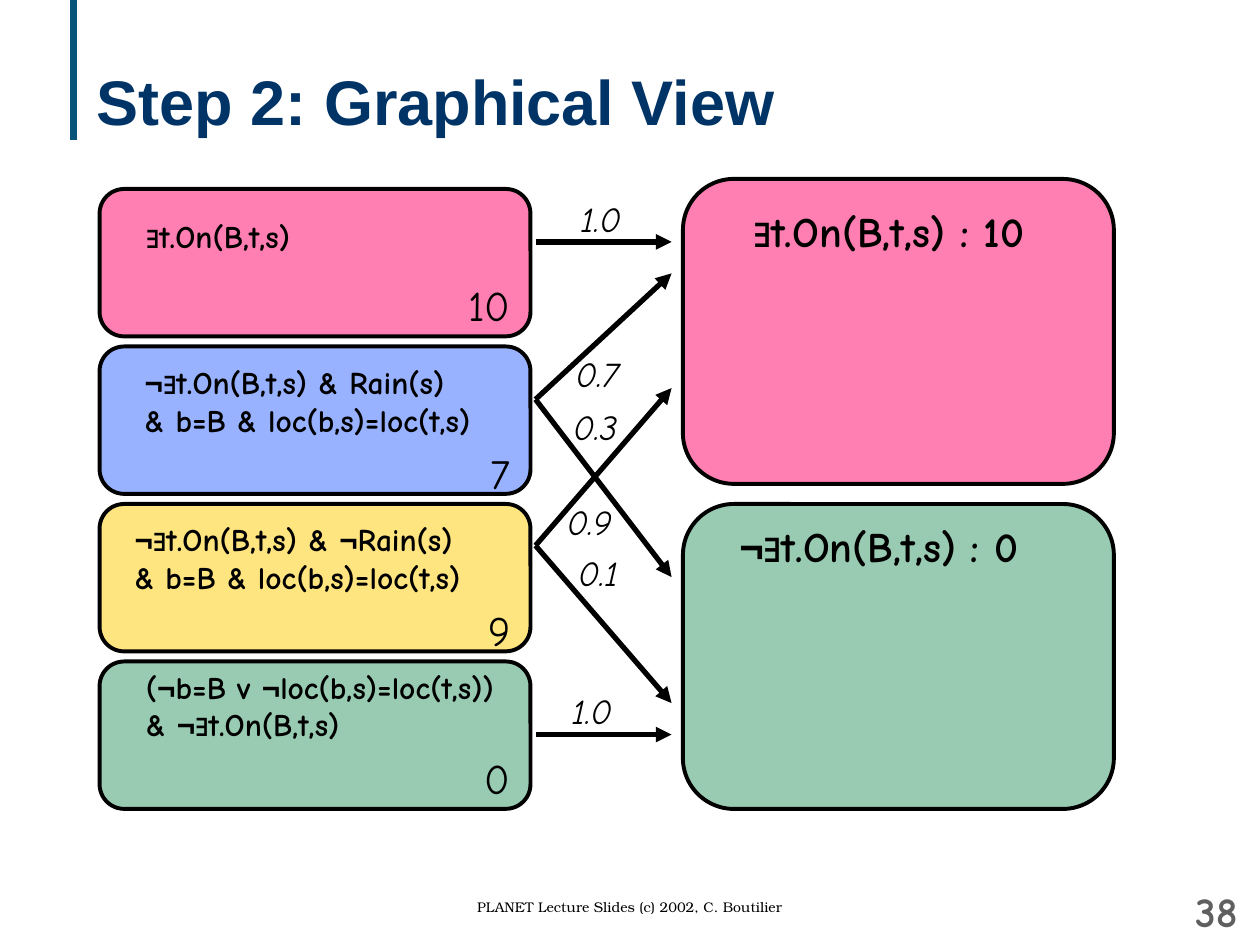
import itertools

import pptx
import pptx.dml.color
import pptx.enum.shapes
import pptx.enum.text
import pptx.oxml
import pptx.oxml.ns
import pptx.util
from pptx.util import Inches

COLORS = {
    "pink": "FF0066", "blue": "3366FF", "yellow": "FFCC00", "green": "339966",
    "black": "000000", "title": "003366", "rule": "07547A", "number": "5F5F5F",
}
NS = pptx.oxml.ns.nsdecls("a")
ALIGN = pptx.enum.text.PP_ALIGN
ANCHOR = pptx.enum.text.MSO_ANCHOR
LEFT_X, RIGHT_X, BOX_W = 0.79, 5.42, 3.42
ARROW_X1, ARROW_X2 = 4.25, 5.33


def add_text(x, y, w, h, text, size, font="Comic Neue", color="black", bold=False,
             italic=False, align=ALIGN.LEFT, anchor=ANCHOR.TOP, wrap=False):
    """Add a text box, setting the logic signs ¬ and ∃ in Arial."""
    tf = slide.shapes.add_textbox(Inches(x), Inches(y), Inches(w), Inches(h)).text_frame
    tf.word_wrap = wrap
    tf.vertical_anchor = anchor
    if not wrap:
        tf.auto_size = pptx.enum.text.MSO_AUTO_SIZE.SHAPE_TO_FIT_TEXT
    for i, line in enumerate(text.split("\n")):
        p = tf.paragraphs[0] if i == 0 else tf.add_paragraph()
        p.alignment = align
        for is_sign, chars in itertools.groupby(line, lambda c: c in "¬∃"):
            r = p.add_run()
            r.text = "".join(chars)
            r.font.name = "Arial" if is_sign else font
            r.font.size = pptx.util.Pt(size)
            r.font.bold = bold
            r.font.italic = italic
            r.font.color.rgb = pptx.dml.color.RGBColor.from_string(COLORS[color])


def add_line(x1, y1, x2, y2, color, width, arrow=False):
    line = slide.shapes.add_connector(
        pptx.enum.shapes.MSO_CONNECTOR.STRAIGHT,
        Inches(x1), Inches(y1), Inches(x2), Inches(y2))
    line.line.color.rgb = pptx.dml.color.RGBColor.from_string(COLORS[color])
    line.line.width = pptx.util.Pt(width)
    if arrow:
        line.line._get_or_add_ln().append(
            pptx.oxml.parse_xml(f'<a:tailEnd {NS} type="triangle"/>'))
    line._element.spPr.append(pptx.oxml.parse_xml(f"<a:effectLst {NS}/>"))


prs = pptx.Presentation()
prs.slide_width, prs.slide_height = Inches(10), Inches(7.5)
slide = prs.slides.add_slide(prs.slide_layouts[6])

add_line(0.58, 0, 0.58, 1.11, "rule", 4)
add_text(0.67, 0.17, 8.92, 1.25, "Step 2: Graphical View", 36, "Arial", "title",
         bold=True, anchor=ANCHOR.MIDDLE, wrap=True)

# State regions: four before the action on the left, two after it on the right
regions = [(LEFT_X, 1.5 + 1.25 * i, 1.17, color)
           for i, color in enumerate(["pink", "blue", "yellow", "green"])]
regions += [(RIGHT_X, 1.42, 2.42, "pink"), (RIGHT_X, 4, 2.42, "green")]
for x, y, h, color in regions:
    sp = slide.shapes.add_shape(
        pptx.enum.shapes.MSO_SHAPE.ROUNDED_RECTANGLE,
        Inches(x), Inches(y), Inches(BOX_W), Inches(h))
    sp.adjustments[0] = 0.167
    sp.shadow.inherit = False
    sp.fill.solid()
    sp.fill.fore_color.rgb = pptx.dml.color.RGBColor.from_string(COLORS[color])
    sp.fill._xPr.find(".//" + pptx.oxml.ns.qn("a:srgbClr")).append(
        pptx.oxml.parse_xml(f'<a:alpha {NS} val="50000"/>'))
    sp.line.color.rgb = pptx.dml.color.RGBColor.from_string(COLORS["black"])
    sp.line.width = pptx.util.Pt(2.25)

formulas = [
    (1.06, 1.67, 1.4, 0.4, "∃t.On(B,t,s)", 18),
    (1.05, 2.83, 2.84, 0.7, "¬∃t.On(B,t,s) & Rain(s)\n& b=B & loc(b,s)=loc(t,s)", 18),
    (0.97, 4.08, 2.9, 0.7, "¬∃t.On(B,t,s) & ¬Rain(s)\n& b=B & loc(b,s)=loc(t,s)", 18),
    (1.06, 5.25, 2.99, 0.7, "(¬b=B v ¬loc(b,s)=loc(t,s))\n& ¬∃t.On(B,t,s)", 18),
    (5.88, 1.58, 2.43, 0.5, "∃t.On(B,t,s) : 10", 24),
    (5.77, 4.08, 2.51, 0.5, "¬∃t.On(B,t,s) : 0", 24),
]
for x, y, w, h, text, size in formulas:
    add_text(x, y, w, h, text, size, bold=True)

# Values share a right edge
for y, value in [(2.17, "10"), (3.5, "7"), (4.75, "9"), (5.92, "0")]:
    add_text(3.55, y, 0.6, 0.5, value, 24, align=ALIGN.RIGHT, wrap=True)

# Transitions: arrow start and end heights, then the probability label
transitions = [
    (1.92, 1.92, 4.51, 1.52, 0.52, "1.0"),
    (3.17, 2.17, 4.47, 2.75, 0.54, "0.7"),
    (3.17, 4.58, 4.45, 3.17, 0.55, "0.3"),
    (4.33, 3.08, 4.4, 3.92, 0.56, "0.9"),
    (4.33, 5.58, 4.49, 4.33, 0.52, "0.1"),
    (5.83, 5.83, 4.44, 5.42, 0.52, "1.0"),
]
for y1, y2, x, y, w, probability in transitions:
    add_line(ARROW_X1, y1, ARROW_X2, y2, "black", 3, arrow=True)
    add_text(x, y, w, 0.44, probability, 20, italic=True)

add_text(2.75, 7.08, 4.5, 0.25, "PLANET Lecture Slides (c) 2002, C. Boutilier", 8,
         "TeX Gyre Bonum", align=ALIGN.CENTER, wrap=True)
add_text(9.2, 7.03, 0.72, 0.4, "38", 24, color="number", bold=True,
         align=ALIGN.RIGHT, anchor=ANCHOR.MIDDLE, wrap=True)

prs.save("out.pptx")
